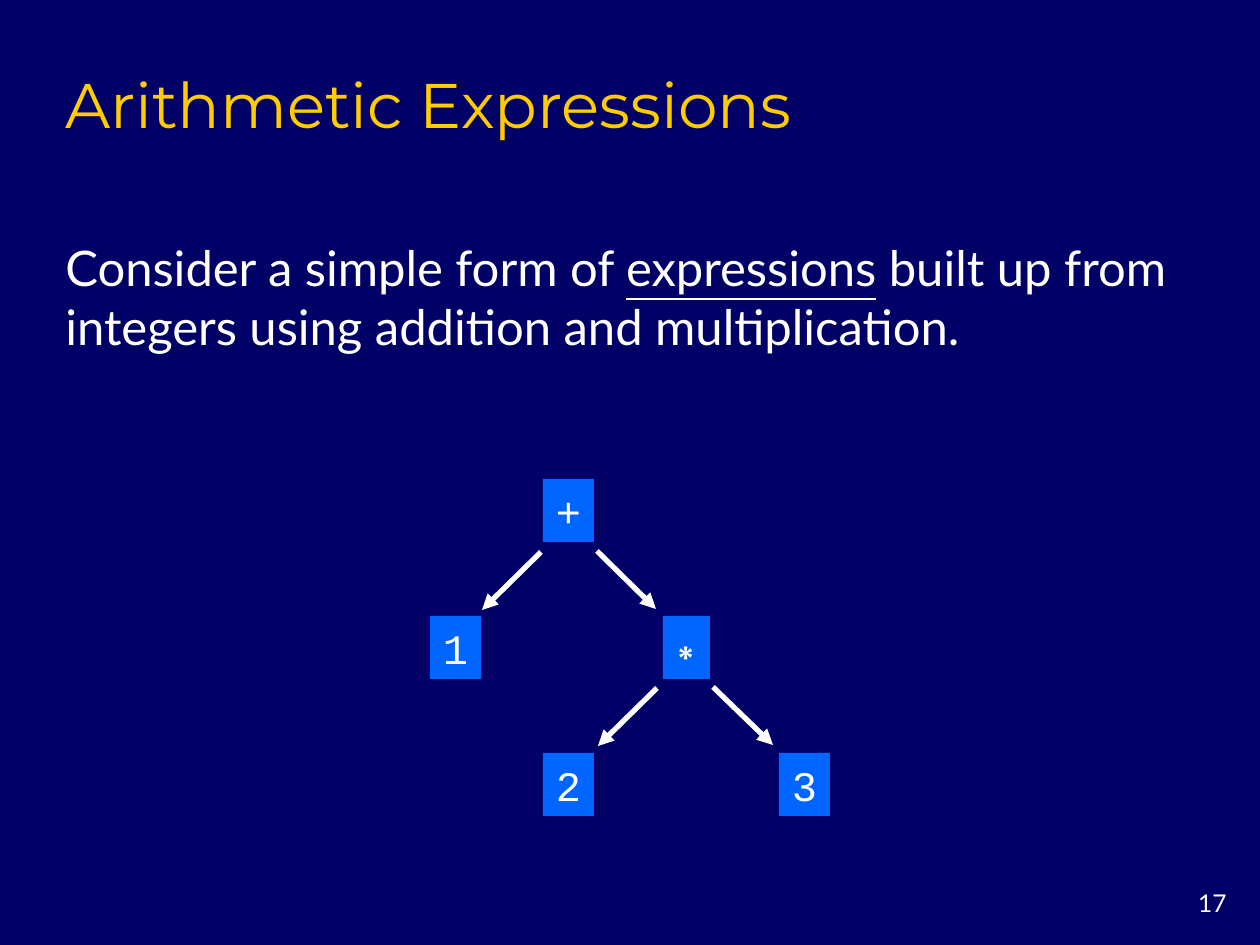
import pptx
import pptx.util
import pptx.dml.color
import pptx.enum.shapes
import pptx.enum.text
import pptx.oxml
import pptx.oxml.ns
from lxml import etree

UNIT = 914400 / 126
HUES = {"back": "000066", "gold": "FFCC00", "white": "FFFFFF", "node": "0066FF"}
ALIGN = pptx.enum.text.PP_ALIGN
ANCHOR = pptx.enum.text.MSO_ANCHOR
KINDS = pptx.enum.shapes
FORMS = {
    "page": {"name": "Lato", "size": pptx.util.Pt(14)},
    "title": {"name": "Montserrat", "size": pptx.util.Pt(36)},
    "body": {"name": "Lato", "size": pptx.util.Pt(28)},
    "node": {"name": "Courier New", "size": pptx.util.Pt(24)},
}


def emu(*nums):
    """Turn pixels into EMU."""
    return [round(n * UNIT) for n in nums]


def hue(key):
    """Return the named colour."""
    return pptx.dml.color.RGBColor.from_string(HUES[key])


def write(shape, runs, form, tint="white", align=ALIGN.LEFT,
          anchor=ANCHOR.TOP, wrap=True):
    """Fill a shape with runs of (text, underline) in one form."""
    frame = shape.text_frame
    frame.word_wrap = wrap
    frame.vertical_anchor = anchor
    para = frame.paragraphs[0]
    para.alignment = align
    for text, under in runs:
        run = para.add_run()
        run.text = text
        for key, val in FORMS[form].items():
            setattr(run.font, key, val)
        run.font.color.rgb = hue(tint)
        if under:
            run.font.underline = True


def label(slide, box, runs, form, **opts):
    """Place a text box."""
    write(slide.shapes.add_textbox(*emu(*box)), runs, form, **opts)


def node(group, box, text):
    """Place one tree node."""
    shape = group.shapes.add_shape(KINDS.MSO_SHAPE.RECTANGLE, *emu(*box))
    shape.shadow.inherit = False
    shape.fill.solid()
    shape.fill.fore_color.rgb = hue("node")
    shape.line.fill.background()
    write(shape, [(text, False)], "node", align=ALIGN.CENTER,
          anchor=ANCHOR.MIDDLE, wrap=False)


def arrow(group, start, end):
    """Draw an arrow between two points."""
    link = group.shapes.add_connector(
        KINDS.MSO_CONNECTOR.STRAIGHT, *emu(*start, *end))
    link.line.color.rgb = hue("white")
    link.line.width = pptx.util.Pt(3)
    qn = pptx.oxml.ns.qn
    etree.SubElement(link.line._get_or_add_ln(), qn("a:tailEnd"), type="triangle")
    etree.SubElement(link._element.spPr, qn("a:effectLst"))


def tree(slide, box):
    """Draw the expression tree inside its box."""
    left, top, wide, high = box
    group = slide.shapes.add_group_shape()
    tall, side = 63, 51
    step = (high - tall) / 2
    nodes = [("1", 0, 1, side), ("+", 113, 0, side), ("\u2217", 233, 1, 47),
             ("3", wide - side, 2, side), ("2", 113, 2, side)]
    for text, x, row, width in nodes:
        node(group, (left + x, top + row * step, width, tall), text)
    for x, y, run in [(111, 73, -59), (227, 209, -59),
                      (167, 72, 59), (283, 208, 60)]:
        start = left + x, top + y
        arrow(group, start, (start[0] + run, start[1] + 58))


def build():
    """Build and save the slide."""
    deck = pptx.Presentation()
    deck.slide_width, deck.slide_height = emu(1260, 945)
    slide = deck.slides.add_slide(deck.slide_layouts[6])
    slide.background.fill.solid()
    slide.background.fill.fore_color.rgb = hue("back")
    label(slide, (1155, 882, 84, 42), [("17", False)], "page", align=ALIGN.RIGHT)
    label(slide, (53, 53, 1071, 94), [("Arithmetic Expressions", False)],
          "title", tint="gold", anchor=ANCHOR.BOTTOM)
    label(slide, (53, 231, 1147, 130),
          [("Consider a simple form of ", False), ("expressions", True),
           (" built up from integers using addition and multiplication.", False)],
          "body", anchor=ANCHOR.MIDDLE)
    tree(slide, (430, 479, 400, 337))
    deck.save("out.pptx")


build()
